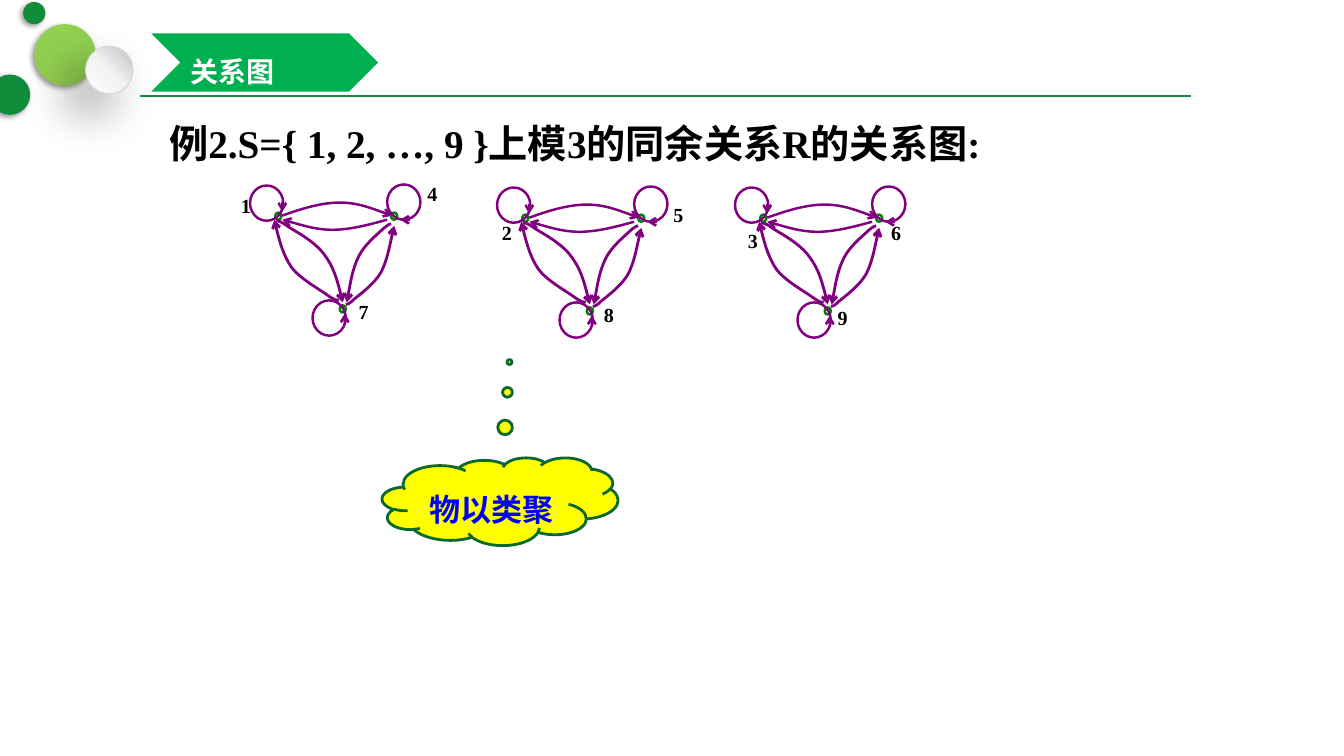
"""Builds the slide on the relation graph of congruence modulo 3."""
import pptx
import pptx.util
import pptx.dml.color
import pptx.enum.shapes
import pptx.enum.text
import pptx.oxml
import pptx.oxml.ns
from lxml import etree

COLS, ROWS = 1333, 750
CELL = pptx.util.Inches(0.01)
SHAPE = pptx.enum.shapes.MSO_SHAPE
ALIGN = pptx.enum.text.PP_ALIGN
ANCHOR = pptx.enum.text.MSO_ANCHOR
qn = pptx.oxml.ns.qn
LATIN, CJK = "Times New Roman", "Noto Sans CJK SC"
PURPLE, GREEN, BLACK = "800080", "118C3B", "000000"

NODES = [(3, 31), (67, 123), (118, 31)]
LOOPS = [(-22, 4), (40, 118), (114, 3)]
LOOP_TIPS = [(10, 22, 10, 30), (72, 139, 72, 131), (134, 38, 127, 38)]
ARCS = [
    ("tailEnd", 1.75, [(10, 34), (29, 27), (49, 21), (67, 21),
                       (85, 21), (110, 31), (119, 34)]),
    ("tailEnd", 1.75, [(114, 38), (96, 43), (77, 48), (60, 48),
                       (43, 48), (18, 40), (10, 38)]),
    ("headEnd", 2, [(2, 38), (6, 55), (11, 73), (19, 85), (28, 97),
                    (47, 107), (55, 113), (62, 118), (64, 118), (66, 118)]),
    ("headEnd", 2, [(70, 120), (66, 103), (61, 85), (52, 73), (43, 60),
                    (24, 50), (16, 45), (8, 39), (6, 39), (4, 39)]),
    ("headEnd", 2, [(74, 120), (77, 103), (80, 86), (86, 74), (92, 62),
                    (105, 52), (110, 47), (116, 42), (117, 42), (118, 42)]),
    ("headEnd", 2, [(121, 44), (117, 61), (114, 78), (108, 90), (101, 102),
                    (87, 112), (81, 117), (76, 122), (74, 122), (73, 122)]),
]
GRAPHS = [
    (270, 180, [("1", -41, 7), ("4", 144, -5), ("7", 76, 112)]),
    (515, 182, [("2", -27, 32), ("5", 143, 14), ("8", 74, 113)]),
    (751, 182, [("3", -19, 40), ("6", 123, 32), ("9", 70, 116)]),
]


def color(value):
    return pptx.dml.color.RGBColor.from_string(value)


def cells(*counts):
    return [round(n * CELL) for n in counts]


def set_line(line, value, width):
    line.color.rgb = color(value)
    line.width = pptx.util.Pt(width)


def add_arrowhead(sp, end):
    ln = sp.line._get_or_add_ln()
    etree.SubElement(ln, qn("a:" + end), type="arrow")


def add_preset(shapes, kind, box, fill=None, line=None, width=1.75):
    sp = shapes.add_shape(kind, *cells(*box))
    sp.shadow.inherit = False
    if fill:
        sp.fill.solid()
        sp.fill.fore_color.rgb = color(fill)
    else:
        sp.fill.background()
    if line:
        set_line(sp.line, line, width)
    else:
        sp.line.fill.background()
    return sp


def add_shadow(sp, blur, distance):
    effects = sp._element.spPr.find(qn("a:effectLst"))
    shadow = etree.SubElement(
        effects, qn("a:outerShdw"), blurRad=str(pptx.util.Pt(blur)),
        dist=str(pptx.util.Pt(distance)), dir="8100000", algn="tr", rotWithShape="0")
    tone = etree.SubElement(shadow, qn("a:srgbClr"), val=BLACK)
    etree.SubElement(tone, qn("a:alpha"), val="40000")


def add_straight(shapes, ends, value, width):
    cx = shapes.add_connector(pptx.enum.shapes.MSO_CONNECTOR.STRAIGHT, *cells(*ends))
    set_line(cx.line, value, width)
    etree.SubElement(cx._element.spPr, qn("a:effectLst"))
    return cx


def add_curve(shapes, points, value, width):
    """Draws cubic curves through a start point and triples of points."""
    builder = shapes.build_freeform(*points[0], scale=CELL)
    builder.add_line_segments(points[1:], close=False)
    sp = builder.convert_to_shape()
    sp.shadow.inherit = False
    sp.fill.background()
    set_line(sp.line, value, width)
    steps = list(sp._element.iter(qn("a:lnTo")))
    for i in range(0, len(steps), 3):
        curve = pptx.oxml.parse_xml(
            "<a:cubicBezTo %s/>" % pptx.oxml.ns.nsdecls("a"))
        steps[i].addprevious(curve)
        for step in steps[i:i + 3]:
            curve.append(step[0])
            step.getparent().remove(step)
    return sp


def write(sp, text, size, value, font=LATIN, spacing=None, align=ALIGN.LEFT,
          anchor=ANCHOR.TOP):
    tf = sp.text_frame
    tf.word_wrap = True
    tf.vertical_anchor = anchor
    p = tf.paragraphs[0]
    p.text = text
    p.alignment = align
    if spacing:
        p.line_spacing = spacing
    p.font.size = pptx.util.Pt(size)
    p.font.bold = True
    p.font.color.rgb = color(value)
    p.font.name = font
    etree.SubElement(p.font._element, qn("a:ea"), typeface=CJK)


def add_text(shapes, box, text, size, spacing=None):
    write(shapes.add_textbox(*cells(*box)), text, size, BLACK, spacing=spacing)


def add_graph(s, left, top, labels):
    shapes = s.shapes.add_group_shape().shapes
    for x, y in NODES:
        add_preset(shapes, SHAPE.OVAL, (left + x, top + y, 6, 7), line="008000")
    for text, x, y in labels:
        add_text(shapes, (left + x, top + y, 26, 44), text, 14.3)
    for x, y in LOOPS:
        add_preset(shapes, SHAPE.OVAL, (left + x, top + y, 33, 35), line=PURPLE)
    for x1, y1, x2, y2 in LOOP_TIPS:
        ends = (left + x1, top + y1, left + x2, top + y2)
        add_arrowhead(add_straight(shapes, ends, PURPLE, 1.75), "tailEnd")
    for end, width, points in ARCS:
        moved = [(left + x, top + y) for x, y in points]
        add_arrowhead(add_curve(shapes, moved, PURPLE, width), end)


def add_pearl(s):
    """Adds the pale circle with a three-stop gradient."""
    sp = add_preset(s.shapes, SHAPE.OVAL, (85, 46, 47, 47), line="D9D9D9", width=0.75)
    sp.fill.gradient()
    sp.fill.gradient_angle = 45
    first, last = sp.fill.gradient_stops
    first.color.rgb, last.color.rgb = color("FFFFFF"), color("BFBFBF")
    first.position, last.position = 0, 1
    middle = etree.Element(qn("a:gs"), pos="50000")
    etree.SubElement(middle, qn("a:srgbClr"), val="F2F2F2")
    sp._element.spPr.find(".//" + qn("a:gs")).addnext(middle)
    add_shadow(sp, 35, 20)


def add_bubble(s, box, fill):
    add_shadow(add_preset(s.shapes, SHAPE.OVAL, box, fill), 4, 2)


def main():
    prs = pptx.Presentation()
    prs.slide_width, prs.slide_height = cells(COLS, ROWS)
    s = prs.slides.add_slide(prs.slide_layouts[6])

    add_straight(s.shapes, (139, 95, 1181, 95), GREEN, 1.25)
    add_bubble(s, (34, 24, 61, 61), "92D050")
    add_bubble(s, (-10, 74, 40, 40), GREEN)
    add_pearl(s)
    add_bubble(s, (23, 2, 22, 22), GREEN)

    add_text(s.shapes, (158, 109, 900, 91),
             "例2.S={ 1, 2, …, 9 }上模3的同余关系R的关系图:", 28, 1.1)
    for left, top, labels in GRAPHS:
        add_graph(s, left, top, labels)

    cloud = add_preset(s.shapes, SHAPE.CLOUD_CALLOUT, (379, 454, 234, 87),
                       "FFFF00", "0D682C", 2)
    cloud.adjustments[0], cloud.adjustments[1] = 0.04, -1.59
    write(cloud, "物以类聚", 22.2, "0000FF", spacing=1.5,
          align=ALIGN.CENTER, anchor=ANCHOR.MIDDLE)

    banner = add_preset(s.shapes, SHAPE.CHEVRON, (150, 33, 225, 58), "00B050")
    write(banner, "关系图", 20, "FFFFFF", CJK, 1.5, anchor=ANCHOR.MIDDLE)
    prs.save("out.pptx")


if __name__ == "__main__":
    main()
